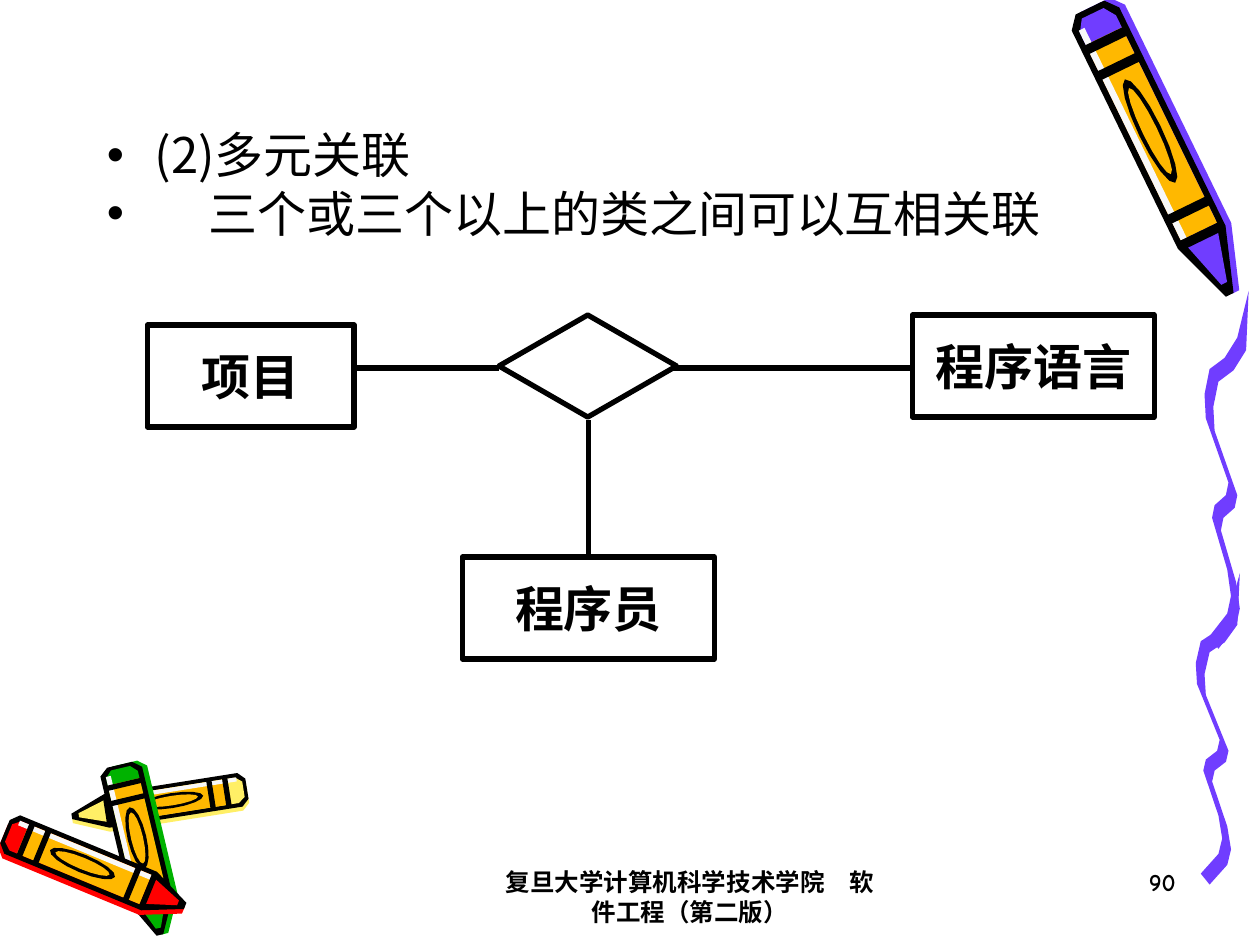
from math import cos, hypot, pi, sin

from lxml import etree
from pptx import Presentation
from pptx.dml.color import RGBColor
from pptx.enum.shapes import MSO_CONNECTOR as Connector, MSO_SHAPE as Shape
from pptx.enum.text import MSO_ANCHOR as Anchor, PP_ALIGN as Align
from pptx.oxml.ns import qn
from pptx.util import Inches, Pt

BLACK = RGBColor(0, 0, 0)
WHITE = RGBColor(0xF8, 0xF8, 0xF8)
PURPLE = RGBColor(0x70, 0x3D, 0xFF)
ORANGE = RGBColor(0xFF, 0xB8, 0x00)
YELLOW = RGBColor(0xFF, 0xEF, 0x66)
RED = RGBColor(0xFF, 0, 0)
GREEN = RGBColor(0, 0xB2, 0)
CJK_FONT = "Noto Sans CJK SC"
FOOTER_FONT = "Comic Neue"
BOX_FONT = "Times New Roman"

CRAYONS = [
    (PURPLE, (8.65, 0.06), (9.76, 2.34), 0.42),
    (YELLOW, (1.96, 6.26), (0.57, 6.48), 0.27),
    (GREEN, (0.95, 6.07), (1.27, 7.42), 0.34),
    (RED, (0.04, 6.6), (1.47, 7.19), -0.33),
]
HALF_OUTLINE = [(0, 0.3), (0.04, 0.5), (0.8, 0.5), (1, 0.08)]
BANDS = [0.1, 0.19, 0.69, 0.78]

WAVE = [(0.35, 0), (0.26, 0.37), (0.16, 0.53), (0.04, 0.62), (0, 0.82), (0.01, 1.01),
        (0.19, 1.52), (0.17, 1.62), (0.08, 1.7), (0.06, 1.8), (0.18, 2.21), (0.21, 2.42),
        (0.18, 2.56), (0.04, 2.74)]
WAVE_THICKNESS = (0.07, 0.1)
SQUIGGLES = [(9.49, 4.55, 0.87), (9.56, 2.31, 1)]

BULLETS = [("(2)多元关联", 0.38), ("三个或三个以上的类之间可以互相关联", 0.81)]
FOOTERS = [
    ("复旦大学计算机科学技术学院　软件工程（第二版）", (3.89, 6.83, 3.17, 0.5), Align.CENTER),
    ("90", (7.35, 6.83, 2.08, 0.5), Align.RIGHT),
]
DIAMOND = (3.96, 2.5, 1.41, 0.81)
LINKS = [(3.96, 2.92, 2.83, 2.92), (5.33, 2.92, 7.25, 2.92), (4.67, 4.42, 4.67, 3.33)]
CLASSES = [
    ("项目", (1.17, 2.58, 1.64, 0.81)),
    ("程序语言", (7.24, 2.5, 1.92, 0.81)),
    ("程序员", (3.67, 4.42, 2, 0.81)),
]


def set_text(paragraph, text, **font_format):
    run = paragraph.add_run()
    run.text = text
    run.font.color.rgb = BLACK
    for name, value in font_format.items():
        setattr(run.font, name, value)
    etree.SubElement(run.font._element, qn("a:ea"), typeface=CJK_FONT)


def add_polygon(slide, colour, points):
    corners = [(Inches(x), Inches(y)) for x, y in points]
    builder = slide.shapes.build_freeform(*corners[0])
    builder.add_line_segments(corners[1:], close=True)
    shape = builder.convert_to_shape()
    shape.shadow.inherit = False
    shape.fill.solid()
    shape.fill.fore_color.rgb = colour
    shape.line.fill.background()


def bar(start, end, low, high):
    return [(start, low), (end, low), (end, high), (start, high)]


def oval(centre, length, height, count=16):
    angles = [2 * pi * step / count for step in range(count)]
    return [(centre + length * cos(angle), height * sin(angle)) for angle in angles]


def add_crayon(slide, colour, start, tip, width):
    run, drop = tip[0] - start[0], tip[1] - start[1]
    length = hypot(run, drop)
    outline = HALF_OUTLINE + [(along, -across) for along, across in reversed(HALF_OUTLINE)]
    parts = [
        (colour, [(along, across + 0.12) for along, across in outline]),
        (BLACK, outline),
        (colour, [(0.02 + 0.94 * along, 0.76 * across) for along, across in outline]),
        (ORANGE, bar(BANDS[0], BANDS[-1], -0.38, 0.38)),
        (WHITE, bar(0.05, BANDS[-1], -0.38, -0.26)),
        *((BLACK, bar(band, band + 0.03, -0.4, 0.4)) for band in BANDS),
        (BLACK, oval(0.43, 0.18, 0.22)),
        (ORANGE, oval(0.43, 0.15, 0.14)),
    ]
    for fill, points in parts:
        add_polygon(slide, fill, [
            (start[0] + along * run + across * width * drop / length,
             start[1] + along * drop - across * width * run / length)
            for along, across in points
        ])


def add_squiggle(slide, left, top, stretch):
    far_side = [(x + WAVE_THICKNESS[0], y + WAVE_THICKNESS[1]) for x, y in reversed(WAVE[1:])]
    add_polygon(slide, PURPLE, [(left + x, top + y * stretch) for x, y in WAVE + far_side])


def add_link(slide, ends):
    link = slide.shapes.add_connector(Connector.STRAIGHT, *map(Inches, ends))
    link.line.color.rgb = BLACK
    link.line.width = Pt(3)
    etree.SubElement(link._element.spPr, qn("a:effectLst"))


def add_outline(slide, kind, place):
    shape = slide.shapes.add_shape(kind, *map(Inches, place))
    shape.shadow.inherit = False
    shape.fill.background()
    shape.line.color.rgb = BLACK
    shape.line.width = Pt(3)
    return shape


def add_text_frame(slide, place):
    frame = slide.shapes.add_textbox(*map(Inches, place)).text_frame
    frame.word_wrap = True
    return frame


def add_bullets(slide):
    frame = add_text_frame(slide, (0.75, 0.99, 8.42, 5.01))
    frame.margin_top = 0
    for index, (text, indent) in enumerate(BULLETS):
        paragraph = frame.add_paragraph() if index else frame.paragraphs[0]
        properties = paragraph._p.get_or_add_pPr()
        properties.set("marL", str(Inches(indent)))
        properties.set("indent", str(-Inches(indent)))
        etree.SubElement(properties, qn("a:buFont"), typeface="Arial")
        etree.SubElement(properties, qn("a:buChar"), char="•")
        set_text(paragraph, text, size=Pt(28), name=CJK_FONT)


def main():
    presentation = Presentation()
    presentation.slide_width, presentation.slide_height = Inches(10), Inches(7.5)
    slide = presentation.slides.add_slide(presentation.slide_layouts[6])
    for crayon in CRAYONS:
        add_crayon(slide, *crayon)
    for squiggle in SQUIGGLES:
        add_squiggle(slide, *squiggle)
    add_bullets(slide)
    for text, place, alignment in FOOTERS:
        paragraph = add_text_frame(slide, place).paragraphs[0]
        paragraph.alignment = alignment
        paragraph.line_spacing = Pt(17)
        set_text(paragraph, text, size=Pt(14), bold=True, name=FOOTER_FONT)
    add_outline(slide, Shape.FLOWCHART_DECISION, DIAMOND)
    for ends in LINKS:
        add_link(slide, ends)
    for text, place in CLASSES:
        frame = add_outline(slide, Shape.RECTANGLE, place).text_frame
        frame.vertical_anchor = Anchor.MIDDLE
        frame.paragraphs[0].alignment = Align.CENTER
        set_text(frame.paragraphs[0], text, size=Pt(28), bold=True, name=BOX_FONT)
    presentation.save("out.pptx")


if __name__ == "__main__":
    main()
